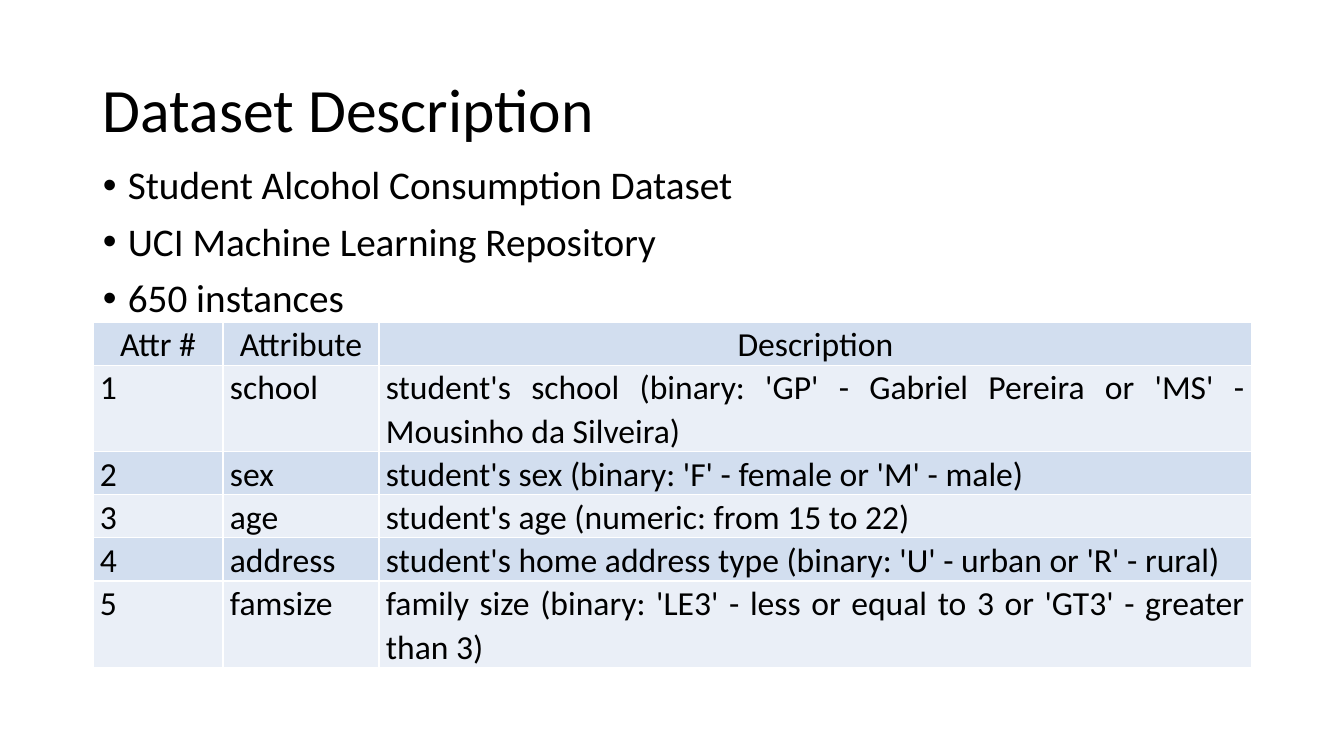
from lxml import etree
from pptx import Presentation
from pptx.dml.color import RGBColor
from pptx.enum.text import MSO_ANCHOR, PP_ALIGN
from pptx.oxml.ns import qn
from pptx.util import Pt

COLORS = {"text": "000000", "band_dark": "D2DEEF", "band_light": "EAEFF7", "border": "FFFFFF"}


class SlideBuilder:
    """Holds the style and the current slide, and adds each kind of element."""

    font = "Calibri"
    scale = 914400 / 100.8

    def __init__(self, prs, width, height):
        prs.slide_width, prs.slide_height = self.px(width), self.px(height)
        self.slide = prs.slides.add_slide(prs.slide_layouts[6])

    def px(self, pixels):
        return round(pixels * self.scale)

    def fill_paragraph(self, paragraph, text, size, spacing, align=PP_ALIGN.LEFT):
        paragraph.alignment = align
        paragraph.line_spacing = spacing
        run = paragraph.add_run()
        run.text = text
        run.font.name, run.font.size = self.font, Pt(size)
        run.font.color.rgb = RGBColor.from_string(COLORS["text"])

    def text(self, box, lines, size, anchor=MSO_ANCHOR.TOP, bullets=False):
        frame = self.slide.shapes.add_textbox(*map(self.px, box)).text_frame
        frame.word_wrap = True
        frame.vertical_anchor = anchor
        for index, line in enumerate(lines):
            paragraph = frame.add_paragraph() if index else frame.paragraphs[0]
            self.fill_paragraph(paragraph, line, size, 0.9)
            if bullets:
                self.bullet(paragraph)

    def bullet(self, paragraph):
        paragraph.space_before = Pt(10)
        props = paragraph._p.get_or_add_pPr()
        props.set("marL", str(self.px(25)))
        props.set("indent", str(-self.px(25)))
        etree.SubElement(props, qn("a:buFont")).set("typeface", "Arial")
        etree.SubElement(props, qn("a:buChar")).set("char", "•")

    def borders(self, cell):
        props = cell._tc.get_or_add_tcPr()
        for index, side in enumerate(("lnL", "lnR", "lnT", "lnB")):
            line = etree.Element(qn(f"a:{side}"), w=str(Pt(1)))
            fill = etree.SubElement(line, qn("a:solidFill"))
            etree.SubElement(fill, qn("a:srgbClr")).set("val", COLORS["border"])
            props.insert(index, line)

    def table(self, left, top, widths, row_height, rows, size):
        box = left, top, sum(widths), row_height * len(rows)
        table = self.slide.shapes.add_table(len(rows), len(widths), *map(self.px, box)).table
        for column, width in zip(table.columns, widths):
            column.width = self.px(width)
        for r, row in enumerate(rows):
            table.rows[r].height = self.px(row_height)
            band = COLORS["band_light" if r % 2 else "band_dark"]
            align = PP_ALIGN.JUSTIFY if r else PP_ALIGN.CENTER
            for c, value in enumerate(row):
                cell = table.cell(r, c)
                cell.margin_left = cell.margin_right = self.px(7)
                cell.margin_top = cell.margin_bottom = 0
                cell.fill.solid()
                cell.fill.fore_color.rgb = RGBColor.from_string(band)
                self.borders(cell)
                self.fill_paragraph(cell.text_frame.paragraphs[0], value, size, 1.07, align)


ATTRIBUTES = [
    ("school", "student's school (binary: 'GP' - Gabriel Pereira or 'MS' - Mousinho da Silveira)\u00a0"),
    ("sex", "student's sex (binary: 'F' - female or 'M' - male)\u00a0"),
    ("age", "student's age (numeric: from 15 to 22)\u00a0"),
    ("address", "student's home address type (binary: 'U' - urban or 'R' - rural)\u00a0"),
    ("famsize", "family size (binary: 'LE3' - less or equal to 3 or 'GT3' - greater than 3)\u00a0"),
]
FACTS = ["Student Alcohol Consumption Dataset", "UCI Machine Learning Repository", "650 instances"]

prs = Presentation()
builder = SlideBuilder(prs, 1344, 756)
builder.text((93, 40, 1159, 146), ["Dataset Description"], 44, MSO_ANCHOR.MIDDLE)
builder.text((93, 161, 1159, 520), FACTS, 28, bullets=True)
rows = [("Attr #", "Attribute", "Description")]
rows += [(str(number), *entry) for number, entry in enumerate(ATTRIBUTES, 1)]
builder.table(93, 322, (130, 156, 873), 29, rows, 24)
prs.save("out.pptx")
